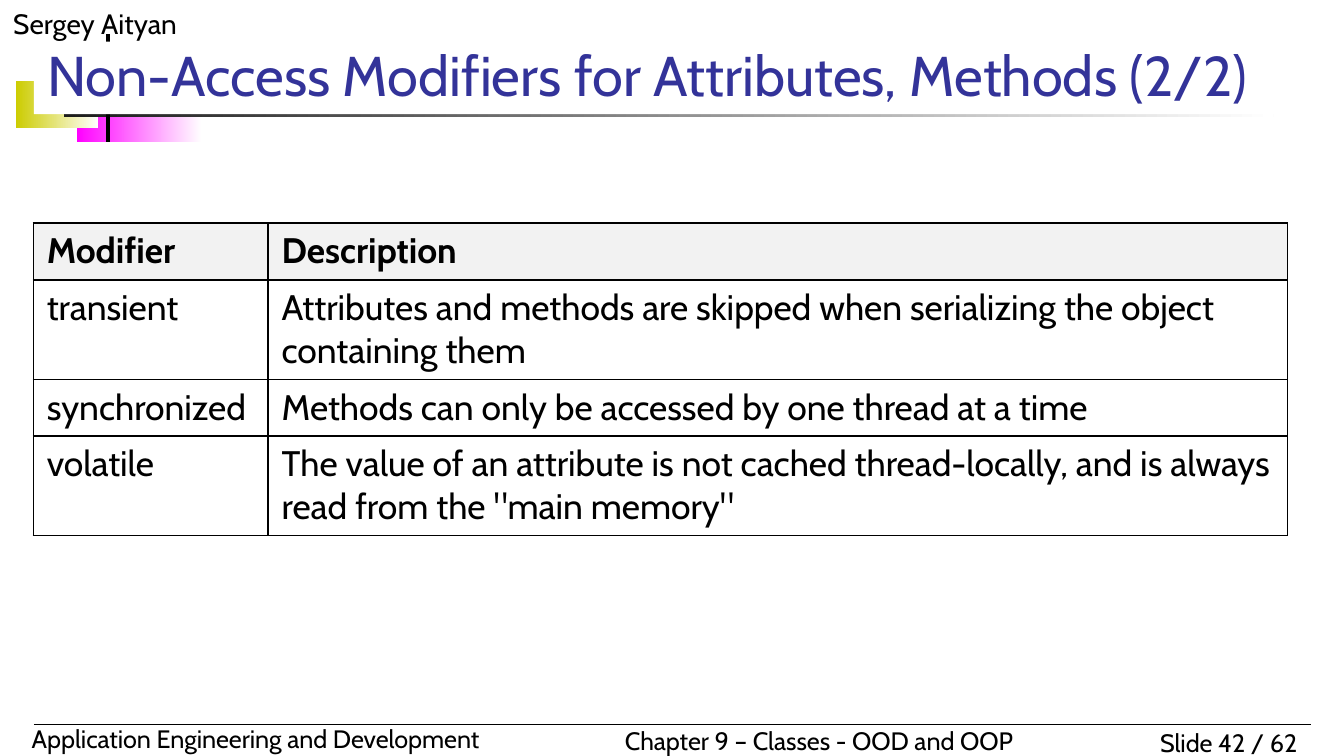
from lxml.etree import SubElement
from pptx import Presentation
from pptx.dml.color import RGBColor
from pptx.enum.shapes import MSO_CONNECTOR, MSO_SHAPE
from pptx.enum.text import MSO_ANCHOR, PP_ALIGN
from pptx.oxml import parse_xml
from pptx.oxml.ns import nsdecls, qn
from pptx.util import Cm, Pt

COLORS = {
    "black": "000000",
    "white": "FFFFFF",
    "title": "333399",
    "header": "F2F2F2",
    "magenta": "FF00FF",
    "yellow": "CCCC00",
    "charcoal": "1C1C1C",
}
FONT = "Cabin"


def color(name):
    return RGBColor.from_string(COLORS[name])


def add_run(paragraph, text, size, color_name="black", bold=False):
    run = paragraph.add_run()
    run.text = text
    run.font.name = FONT
    run.font.size = Pt(size)
    run.font.bold = bold
    run.font.color.rgb = color(color_name)


presentation = Presentation()
presentation.slide_width = Cm(25.4)
presentation.slide_height = Cm(14.29)
slide = presentation.slides.add_slide(presentation.slide_layouts[6])

# Fading bars around the title
bars = [
    ("magenta", 1.45, 1.69, 2.36, 0.99),
    ("yellow", 0.3, 1.54, 1.55, 0.88),
    ("charcoal", 1.21, 2.16, 22.86, 0.06),
]
for color_name, left, top, width, height in bars:
    bar = slide.shapes.add_shape(
        MSO_SHAPE.RECTANGLE, Cm(left), Cm(top), Cm(width), Cm(height))
    bar.shadow.inherit = False
    bar.line.fill.background()
    bar.fill.gradient()
    bar.fill.gradient_angle = 0
    start, end = bar.fill.gradient_stops
    start.position, end.position = 0, 1
    start.color.rgb = color(color_name)
    end.color.rgb = color("white")

# Footer rule and the upright stroke behind the title
rules = [
    (0.64, 13.69, 24.77, 13.69, 0.75),
    (2.04, 0.64, 2.04, 2.68, 2),
]
for start_x, start_y, end_x, end_y, weight in rules:
    rule = slide.shapes.add_connector(
        MSO_CONNECTOR.STRAIGHT, Cm(start_x), Cm(start_y), Cm(end_x), Cm(end_y))
    rule.line.color.rgb = color("black")
    rule.line.width = Pt(weight)
    SubElement(rule.element.spPr, qn("a:effectLst"))

# Author, footer texts and title
labels = [
    ("Sergey Aityan", 0, 0, 6.35, 0.89, 15, "black", PP_ALIGN.LEFT, True),
    ("Slide 42 / 62", 20.96, 13.62, 3.81, 0.66, 13.5, "black", PP_ALIGN.RIGHT, True),
    ("Application Engineering and Development",
     0.35, 13.55, 9.4, 0.72, 13.5, "black", PP_ALIGN.LEFT, True),
    ("Chapter 9 – Classes - OOD and OOP",
     11.56, 13.59, 8.23, 0.69, 13.5, "black", PP_ALIGN.LEFT, False),
    ("Non-Access Modifiers for Attributes, Methods (2/2)",
     0.64, 0.79, 24.33, 1.37, 30, "title", PP_ALIGN.LEFT, True),
]
for text, left, top, width, height, size, color_name, alignment, wraps in labels:
    label = slide.shapes.add_textbox(Cm(left), Cm(top), Cm(width), Cm(height))
    label.text_frame.word_wrap = wraps
    paragraph = label.text_frame.paragraphs[0]
    paragraph.alignment = alignment
    add_run(paragraph, text, size, color_name)
    if color_name == "title":
        label.fill.solid()
        label.fill.fore_color.rgb = color("white")
        label.text_frame.vertical_anchor = MSO_ANCHOR.BOTTOM
    else:
        label.text_frame.margin_bottom = 0

# Modifier table
rows = [
    ("Modifier", "Description"),
    ("transient",
     "Attributes and methods are skipped when serializing the object containing them"),
    ("synchronized", "Methods can only be accessed by one thread at a time"),
    ("volatile",
     "The value of an attribute is not cached thread-locally, "
     'and is always read from the "main memory"'),
]
column_widths = [4.44, 19.26]
row_heights = [1.07, 1.88, 1.07, 1.88]
table = slide.shapes.add_table(
    len(rows), len(column_widths), Cm(0.63), Cm(4.22),
    Cm(sum(column_widths)), Cm(sum(row_heights))).table
for column, width in zip(table.columns, column_widths):
    column.width = Cm(width)
for row, height in zip(table.rows, row_heights):
    row.height = Cm(height)

for row_index, texts in enumerate(rows):
    is_header = row_index == 0
    for column_index, text in enumerate(texts):
        cell = table.cell(row_index, column_index)
        add_run(cell.text_frame.paragraphs[0], text, 19, bold=is_header)
        if is_header:
            cell.fill.solid()
            cell.fill.fore_color.rgb = color("header")
        else:
            cell.fill.background()
        properties = cell._tc.get_or_add_tcPr()
        for position, side in enumerate(("lnL", "lnR", "lnT", "lnB")):
            properties.insert(position, parse_xml(
                f'<a:{side} {nsdecls("a")} w="{Pt(1)}"><a:solidFill>'
                f'<a:srgbClr val="{COLORS["black"]}"/></a:solidFill></a:{side}>'))

presentation.save("out.pptx")
